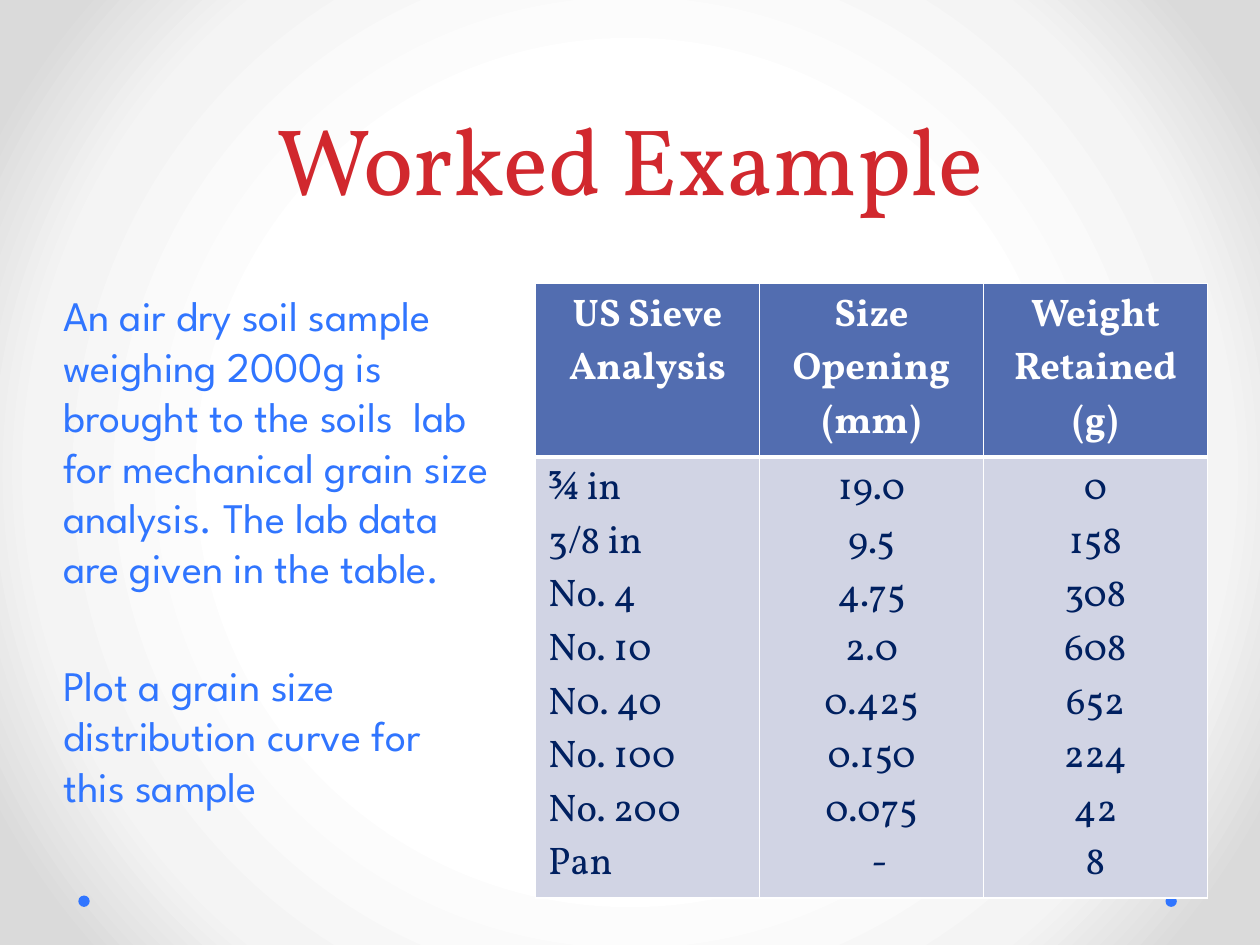
"""Build the Worked Example slide with its sieve analysis table."""
import pptx
import pptx.util
import pptx.oxml
import pptx.oxml.ns
from lxml import etree
from pptx.dml.color import RGBColor
from pptx.enum.shapes import MSO_SHAPE
from pptx.enum.text import MSO_ANCHOR, MSO_AUTO_SIZE, PP_ALIGN
from pptx.util import Pt

THEME = {
    "title": ("Vollkorn", 54, "D1282E", False),
    "body": ("League Spartan", 24, "3075FF", False),
    "header": ("Vollkorn", 22, "FFFFFF", True),
    "cell": ("Vollkorn", 22, "002060", False),
    "dot": "3075FF",
    "header_fill": "526DB0",
    "cell_fill": "D1D4E4",
    "border": "FFFFFF",
    "background": [(50, "FFFFFF"), (76, "F4F4F4"), (92, "DADADA")],
}
COLUMNS = [
    ("US Sieve\nAnalysis",
     "¾ in\n3/8 in\nNo. 4\nNo. 10\nN0. 40\nNo. 100\nNo. 200\nPan", PP_ALIGN.LEFT),
    ("Size Opening (mm)",
     "19.0\n9.5\n4.75\n2.0\n0.425\n0.150\n0.075\n-", PP_ALIGN.CENTER),
    ("Weight Retained (g)",
     "0\n158\n308\n608\n652\n224\n42\n8", PP_ALIGN.CENTER),
]


def format_text(tf, style, align):
    name, size, color, bold = THEME[style]
    for p in tf.paragraphs:
        p.alignment = align
        for r in p.runs:
            r.font.name = name
            r.font.size = Pt(size)
            r.font.bold = bold
            r.font.color.rgb = RGBColor.from_string(color)


def add_border(cell, side, width):
    tcPr = cell._tc.get_or_add_tcPr()
    ln = etree.SubElement(tcPr, pptx.oxml.ns.qn(f"a:ln{side}"), w=str(Pt(width)))
    fill = etree.SubElement(ln, pptx.oxml.ns.qn("a:solidFill"))
    etree.SubElement(fill, pptx.oxml.ns.qn("a:srgbClr"), val=THEME["border"])


prs = pptx.Presentation()
prs.slide_width, prs.slide_height = Pt(720), Pt(540)
s = prs.slides.add_slide(prs.slide_layouts[1])

stops = "".join(f'<a:gs pos="{pos * 1000}"><a:srgbClr val="{color}"/></a:gs>'
                for pos, color in THEME["background"])
bg = pptx.oxml.parse_xml(
    f'<p:bg {pptx.oxml.ns.nsdecls("p", "a")}><p:bgPr><a:gradFill rotWithShape="1">'
    f'<a:gsLst>{stops}</a:gsLst><a:path path="circle">'
    '<a:fillToRect l="50000" t="50000" r="50000" b="50000"/></a:path>'
    '</a:gradFill><a:effectLst/></p:bgPr></p:bg>')
s._element.cSld.insert(0, bg)

for left in (44.75, 666):
    sp = s.shapes.add_shape(MSO_SHAPE.OVAL, Pt(left), Pt(511.75), Pt(6.5), Pt(6.5))
    sp.shadow.inherit = False
    sp.fill.solid()
    sp.fill.fore_color.rgb = RGBColor.from_string(THEME["dot"])
    sp.line.fill.background()

title = s.shapes.title
title.left, title.top, title.width, title.height = Pt(36), Pt(0), Pt(648), Pt(126)
tf = title.text_frame
tf.text = "Worked Example"
tf.auto_size = MSO_AUTO_SIZE.NONE
tf.vertical_anchor = MSO_ANCHOR.BOTTOM
tf.paragraphs[0].line_spacing = Pt(58)
format_text(tf, "title", PP_ALIGN.CENTER)

body = s.placeholders[1]
body.left, body.top, body.width, body.height = Pt(29), Pt(162), Pt(259), Pt(318)
tf = body.text_frame
tf.text = ("An air dry soil sample weighing 2000g is brought to the soils  lab for "
           "mechanical grain size analysis. The lab data are given in the table.\n"
           "Plot a grain size distribution curve for this sample")
tf.auto_size = MSO_AUTO_SIZE.NONE
for p, gap in zip(tf.paragraphs, (0, 38.5)):
    pPr = p._p.get_or_add_pPr()
    pPr.set("marL", "0")
    pPr.set("indent", "0")
    etree.SubElement(pPr, pptx.oxml.ns.qn("a:buNone"))
    p.space_before = Pt(gap)
format_text(tf, "body", PP_ALIGN.LEFT)

frame = s.shapes.add_table(2, len(COLUMNS), Pt(306), Pt(162), Pt(384), Pt(258.5))
table = frame.table
table.rows[0].height, table.rows[1].height = Pt(52.5), Pt(206)
for col, (header, values, align) in enumerate(COLUMNS):
    table.columns[col].width = Pt(128)
    for row, (text, style, al, top, bottom) in enumerate((
            (header, "header", PP_ALIGN.CENTER, 1, 3), (values, "cell", align, 3, 1))):
        cell = table.cell(row, col)
        cell.text_frame.text = text
        format_text(cell.text_frame, style, al)
        for side, width in (("L", 1), ("R", 1), ("T", top), ("B", bottom)):
            add_border(cell, side, width)
        cell.fill.solid()
        cell.fill.fore_color.rgb = RGBColor.from_string(THEME[f"{style}_fill"])

dash = table.cell(1, 1).text_frame.paragraphs[-1]
dash._p.get_or_add_pPr().set("marL", str(Pt(9)))

prs.save("out.pptx")
